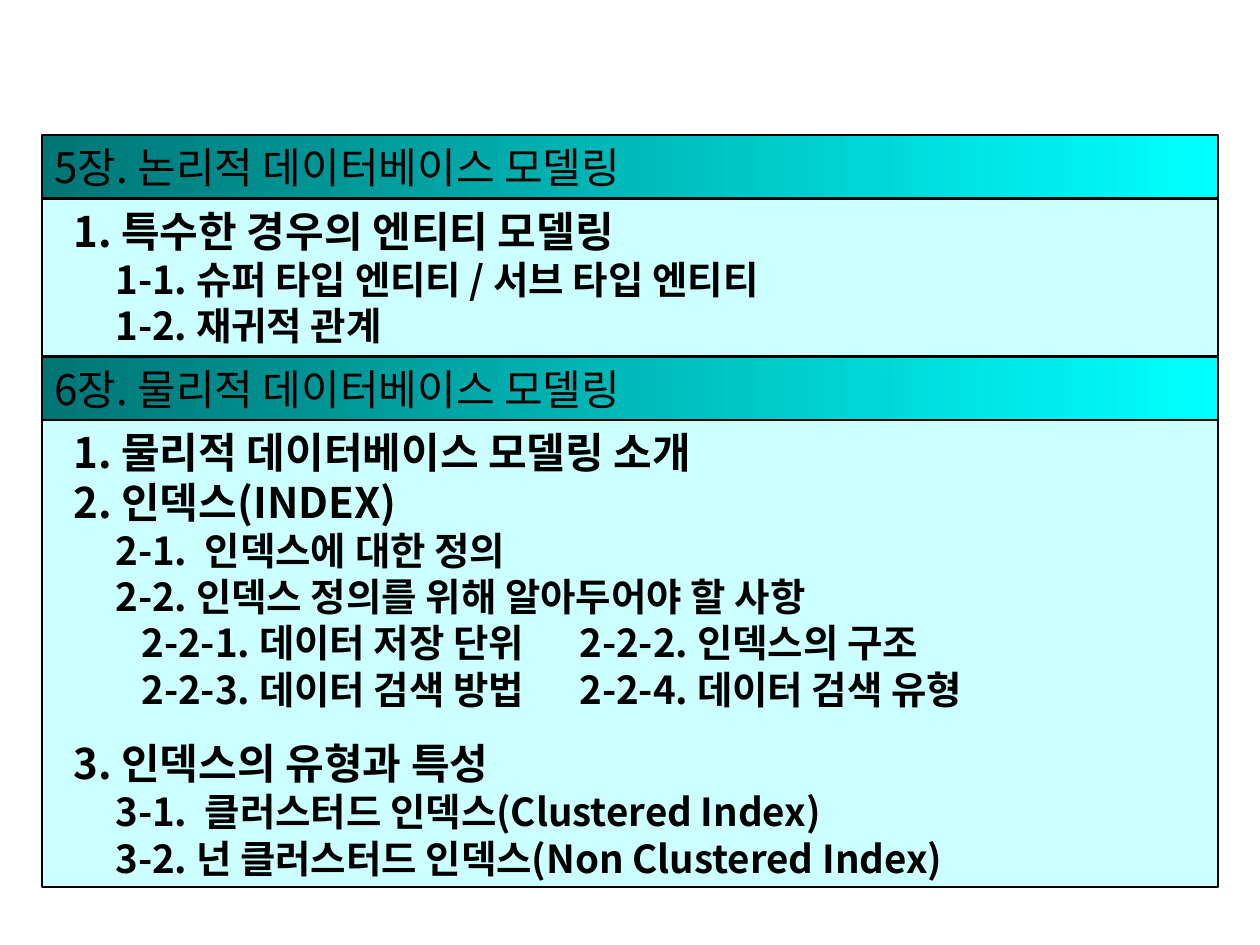
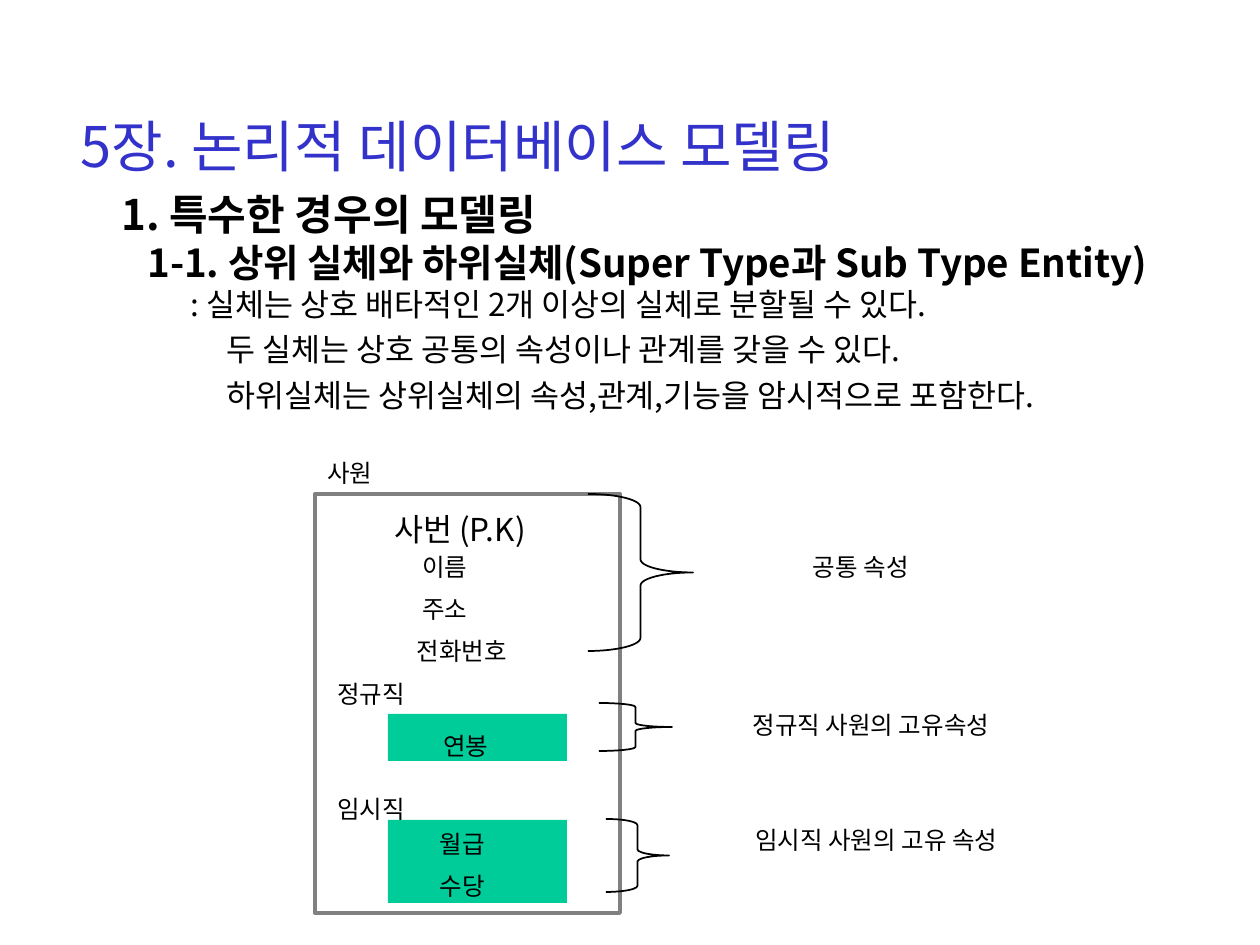
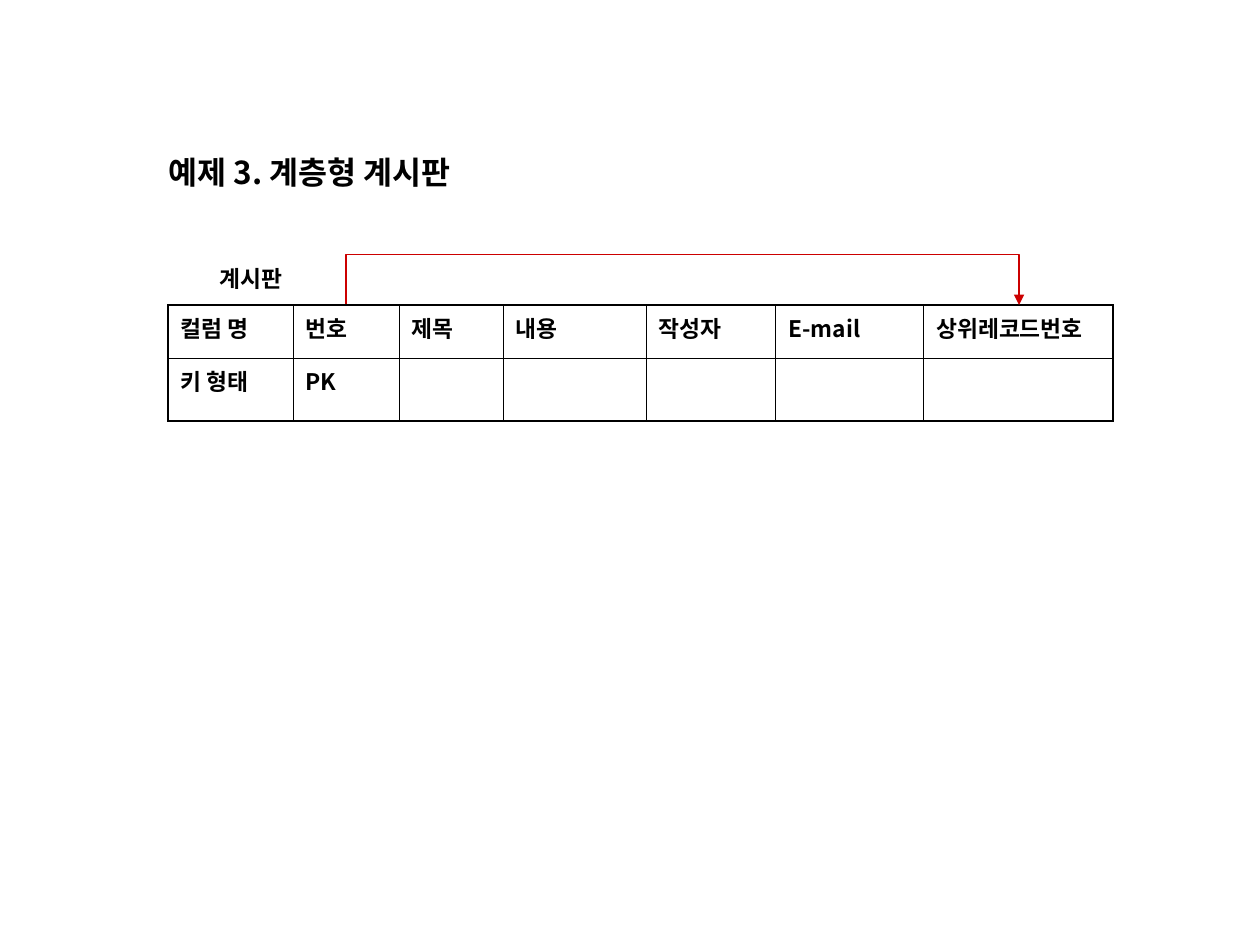
import pptx
import pptx.dml.color
import pptx.enum.shapes
import pptx.enum.text
import pptx.oxml.ns
import pptx.util

RGBColor = pptx.dml.color.RGBColor
Pt = pptx.util.Pt
qn = pptx.oxml.ns.qn
SHAPE = pptx.enum.shapes.MSO_SHAPE
ANCHOR = pptx.enum.text.MSO_ANCHOR
ALIGN = pptx.enum.text.PP_ALIGN

BLACK = RGBColor(0x00, 0x00, 0x00)
WHITE = RGBColor(0xFF, 0xFF, 0xFF)
BLUE = RGBColor(0x33, 0x33, 0xCC)
RED = RGBColor(0xCC, 0x00, 0x00)
GRAY = RGBColor(0x80, 0x80, 0x80)
GREEN = RGBColor(0x00, 0xCC, 0x99)
PALE_CYAN = RGBColor(0xCC, 0xFF, 0xFF)
CYAN = RGBColor(0x00, 0xFF, 0xFF)
TEAL = RGBColor(0x00, 0x75, 0x75)

FONT = "Noto Sans CJK KR"
PX = 914400 / 126
SLIDE_SIZE = (1260, 945)

CHAPTER = dict(size=24)
SECTION = dict(size=24, bold=True, indent=19)
TOPIC = dict(size=22, bold=True, indent=61)
SUBTOPIC = dict(size=22, bold=True, margin=21, indent=66)
SPACED_SECTION = dict(SECTION, before=15)

OUTLINE = [
    ("5장. 논리적 데이터베이스 모델링", 135, 199, 157, [
        ("1. 특수한 경우의 엔티티 모델링", SECTION),
        ("1-1. 슈퍼 타입 엔티티 / 서브 타입 엔티티", TOPIC),
        ("1-2. 재귀적 관계", TOPIC),
    ]),
    ("6장. 물리적 데이터베이스 모델링", 357, 420, 467, [
        ("1. 물리적 데이터베이스 모델링 소개", SECTION),
        ("2. 인덱스(INDEX)", SECTION),
        ("2-1.  인덱스에 대한 정의", TOPIC),
        ("2-2. 인덱스 정의를 위해 알아두어야 할 사항", TOPIC),
        ("2-2-1. 데이터 저장 단위\t2-2-2. 인덱스의 구조", SUBTOPIC),
        ("2-2-3. 데이터 검색 방법\t2-2-4. 데이터 검색 유형", SUBTOPIC),
        ("3. 인덱스의 유형과 특성", SPACED_SECTION),
        ("3-1.  클러스터드 인덱스(Clustered Index)", TOPIC),
        ("3-2. 넌 클러스터드 인덱스(Non Clustered Index)", TOPIC),
    ]),
]
BAND_LEFT, BAND_WIDTH, BAND_HEIGHT = 42, 1176, 63

ENTITY_TITLE = "5장. 논리적 데이터베이스 모델링"
DETAIL = dict(size=18, indent=114, before=6.8, line=0.9)
ENTITY_NOTES = [
    ("1. 특수한 경우의 모델링", dict(size=24, bold=True, indent=9)),
    ("1-1. 상위 실체와 하위실체(Super Type과 Sub Type Entity)",
     dict(size=22, bold=True, indent=35)),
    (": 실체는 상호 배타적인 2개 이상의 실체로 분할될 수 있다.", dict(size=18, indent=78)),
    ("두 실체는 상호 공통의 속성이나 관계를 갖을 수 있다.", DETAIL),
    ("하위실체는 상위실체의 속성,관계,기능을 암시적으로 포함한다.", DETAIL),
]
ENTITY_FRAME = (315, 494, 305, 419)
SUBTYPE_BOXES = [(388, 714, 179, 47), (388, 820, 179, 83)]
ATTRIBUTE_BRACES = [(588, 494, 105, 157), (599, 703, 73, 48), (606, 819, 63, 73)]
ENTITY_LABELS = [
    ("사원", (325, 452, 50, 29), 14),
    ("사번 (P.K)", (388, 504, 144, 28), 18),
    ("이름", (420, 546, 50, 29), 14),
    ("주소", (420, 588, 50, 29), 14),
    ("전화번호", (420, 630, 84, 28), 14),
    ("정규직", (346, 673, 50, 29), 14),
    ("연봉", (441, 725, 50, 29), 14),
    ("임시직", (346, 788, 50, 29), 14),
    ("월급", (431, 823, 63, 28), 14),
    ("수당", (431, 865, 63, 28), 14),
    ("공통 속성", (819, 546, 84, 28), 14),
    ("정규직 사원의 고유속성", (766, 704, 210, 37), 14),
    ("임시직 사원의 고유 속성", (777, 819, 199, 38), 14),
]

BOARD_TITLE = "예제 3. 계층형 계시판"
BOARD_NAME = "계시판 "
BOARD_ROWS = [
    ["컬럼 명", "번호", "제목", "내용", "작성자", "E-mail", "상위레코드번호"],
    ["키 형태", "PK", "", "", "", "", ""],
]
BOARD_LEFT, BOARD_TOP = 168, 305
COLUMN_WIDTHS = [125, 106, 104, 143, 130, 148, 189]
ROW_HEIGHTS = [53, 63]
LINK_START, LINK_END, LINK_RISE = 346, 1019, 50


def emu(*lengths):
    return [round(length * PX) for length in lengths]


def write(frame, lines, wrap=True, anchor=ANCHOR.TOP, align=ALIGN.LEFT):
    frame.word_wrap = wrap
    frame.auto_size = pptx.enum.text.MSO_AUTO_SIZE.NONE
    frame.vertical_anchor = anchor
    for number, (words, style) in enumerate(lines):
        paragraph = frame.add_paragraph() if number else frame.paragraphs[0]
        paragraph.text = words
        paragraph.alignment = align
        paragraph.space_before = Pt(style.get("before", 0))
        paragraph.line_spacing = style.get("line", 1.0)
        font = paragraph.font
        font.size = Pt(style["size"])
        font.bold = style.get("bold", False)
        font.color.rgb = style.get("color", BLACK)
        font.name = FONT
        properties = paragraph._p.get_or_add_pPr()
        margin, indent = emu(style.get("margin", 0), style.get("indent", 0))
        properties.set("marL", str(margin))
        properties.set("indent", str(indent))
        defaults = properties.find(qn("a:defRPr"))
        defaults.append(defaults.makeelement(qn("a:ea"), {"typeface": FONT}))


def add_text(slide, box, lines, **layout):
    text = slide.shapes.add_textbox(*emu(*box))
    write(text.text_frame, lines, **layout)
    return text


def add_title(slide, box, words, style):
    title = slide.shapes.title
    title.left, title.top, title.width, title.height = emu(*box)
    write(title.text_frame, [(words, style)])


def add_block(slide, box, kind=SHAPE.RECTANGLE, fill=None, line=None, weight=0.75):
    block = slide.shapes.add_shape(kind, *emu(*box))
    block.shadow.inherit = False
    if fill is None:
        block.fill.background()
    else:
        block.fill.solid()
        block.fill.fore_color.rgb = fill
    if line is None:
        block.line.fill.background()
    else:
        block.line.color.rgb = line
        block.line.width = Pt(weight)
    return block


def add_brace(slide, box):
    brace = add_block(slide, box, SHAPE.RIGHT_BRACE, line=BLACK, weight=1)
    width, height = box[2:]
    brace.adjustments[0] = height / 12 / min(width, height)


def add_parent_link(slide):
    span = LINK_END - LINK_START
    left, top = (LINK_START + LINK_END) // 2, BOARD_TOP - span // 2 - 1
    link = slide.shapes.add_connector(
        pptx.enum.shapes.MSO_CONNECTOR.ELBOW, *emu(left, top, left + 1, top + span))
    link.line.color.rgb = RED
    link.line.width = Pt(0.75)
    properties = link._element.spPr
    frame = properties.find(qn("a:xfrm"))
    frame.set("rot", str(270 * 60000))
    frame.set("flipH", "1")
    bend = properties.find(qn("a:prstGeom")).get_or_add_avLst()
    bend.append(bend.makeelement(
        qn("a:gd"), {"name": "adj1", "fmla": f"val {-LINK_RISE * 100000}"}))
    outline = link.line._get_or_add_ln()
    outline.append(outline.makeelement(qn("a:tailEnd"), {"type": "triangle"}))
    properties.append(properties.makeelement(qn("a:effectLst"), {}))


def border_cell(cell, outer_sides):
    properties = cell._tc.get_or_add_tcPr()
    for position, side in enumerate("LRTB"):
        weight = Pt(1.08 if side in outer_sides else 0.45)
        edge = properties.makeelement(qn(f"a:ln{side}"), {"w": str(weight)})
        fill = edge.makeelement(qn("a:solidFill"), {})
        fill.append(fill.makeelement(qn("a:srgbClr"), {"val": str(BLACK)}))
        edge.append(fill)
        properties.insert(position, edge)


def add_board(slide):
    last_row, last_column = len(ROW_HEIGHTS) - 1, len(COLUMN_WIDTHS) - 1
    board = slide.shapes.add_table(
        len(ROW_HEIGHTS), len(COLUMN_WIDTHS),
        *emu(BOARD_LEFT, BOARD_TOP, sum(COLUMN_WIDTHS), sum(ROW_HEIGHTS))).table
    board.first_row = board.horz_banding = False
    for column, width in zip(board.columns, emu(*COLUMN_WIDTHS)):
        column.width = width
    for row, height in zip(board.rows, emu(*ROW_HEIGHTS)):
        row.height = height
    for row, names in enumerate(BOARD_ROWS):
        for column, name in enumerate(names):
            cell = board.cell(row, column)
            write(cell.text_frame, [(name, dict(size=13, bold=True, before=3.3))])
            cell.fill.solid()
            cell.fill.fore_color.rgb = WHITE
            edges = {"L": column == 0, "R": column == last_column,
                     "T": row == 0, "B": row == last_row}
            border_cell(cell, [side for side, outer in edges.items() if outer])


def build_outline(slide):
    for chapter, band_top, body_top, body_height, topics in OUTLINE:
        body = add_block(slide, (BAND_LEFT, body_top, BAND_WIDTH, body_height),
                         fill=PALE_CYAN, line=BLACK)
        write(body.text_frame, topics)
        band = add_block(slide, (BAND_LEFT, band_top, BAND_WIDTH, BAND_HEIGHT), line=BLACK)
        band.fill.gradient()
        band.fill.gradient_angle = 180
        for stop, color in zip(band.fill.gradient_stops, (CYAN, TEAL)):
            stop.color.rgb = color
        write(band.text_frame, [(chapter, CHAPTER)])


def build_entity(slide):
    add_title(slide, (68, 105, 1119, 81), ENTITY_TITLE, dict(size=32, color=BLUE))
    add_text(slide, (100, 182, 1108, 285), ENTITY_NOTES)
    add_block(slide, ENTITY_FRAME, line=GRAY, weight=2.25)
    for box in SUBTYPE_BOXES:
        add_block(slide, box, fill=GREEN)
    for box in ATTRIBUTE_BRACES:
        add_brace(slide, box)
    for words, box, size in ENTITY_LABELS:
        add_text(slide, box, [(words, dict(size=size))], wrap=False, align=ALIGN.CENTER)


def build_board(slide):
    add_title(slide, (147, 147, 396, 50), BOARD_TITLE, dict(size=18, bold=True, indent=9))
    add_board(slide)
    name = add_text(slide, (154, 262, 199, 32), [(BOARD_NAME, dict(size=13, bold=True))],
                    wrap=False, anchor=ANCHOR.MIDDLE, align=ALIGN.CENTER)
    name.fill.solid()
    name.fill.fore_color.rgb = WHITE
    add_parent_link(slide)


def main():
    deck = pptx.Presentation()
    deck.slide_width, deck.slide_height = emu(*SLIDE_SIZE)
    title_only, blank = deck.slide_layouts[5], deck.slide_layouts[6]
    for layout, build in ((blank, build_outline), (title_only, build_entity),
                          (title_only, build_board)):
        build(deck.slides.add_slide(layout))
    deck.save("out.pptx")


if __name__ == "__main__":
    main()
